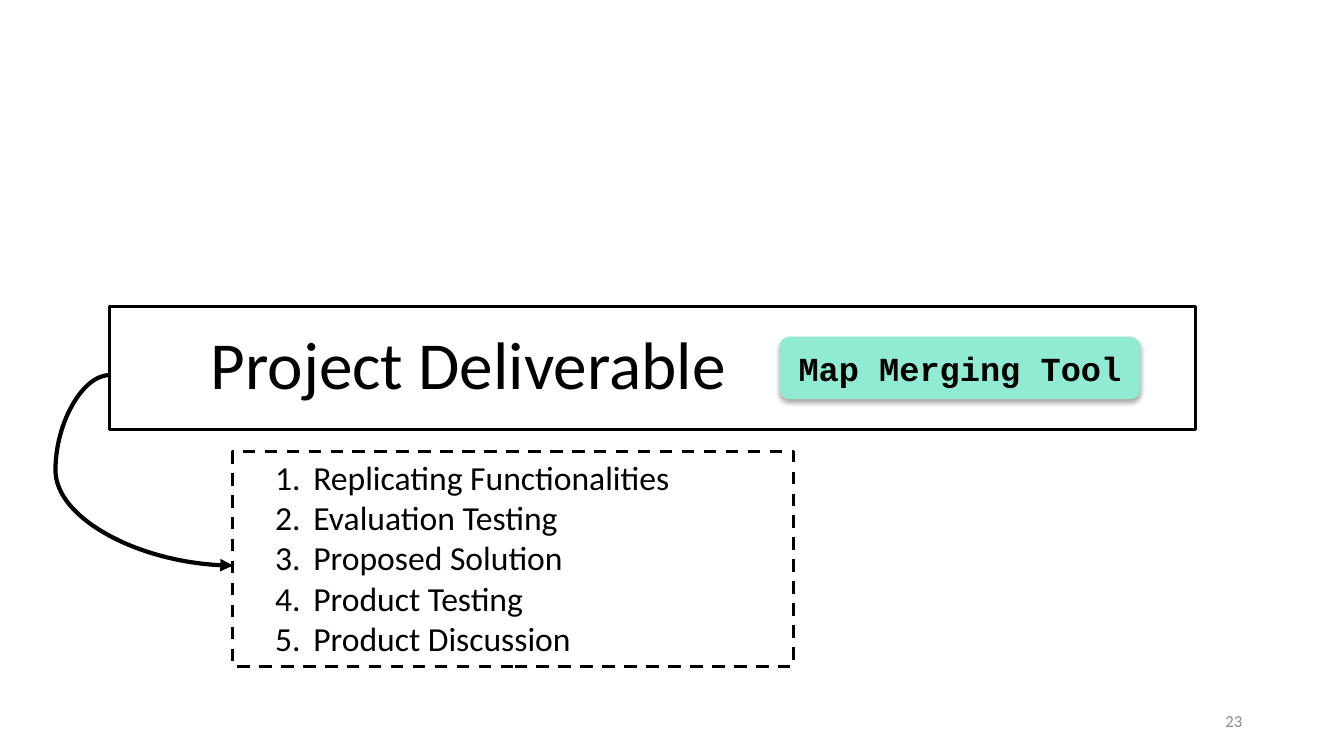
from lxml import etree
from pptx import Presentation
from pptx.dml.color import RGBColor
from pptx.enum import dml, shapes, text
from pptx.oxml import parse_xml
from pptx.oxml.ns import nsdecls, qn
from pptx.util import Inches, Pt

BLACK = RGBColor(0x00, 0x00, 0x00)
GREY = RGBColor(0x8C, 0x8C, 0x8C)
MINT = RGBColor(0x91, 0xEA, 0xD2)

STEPS = [
    "Replicating Functionalities",
    "Evaluation Testing",
    "Proposed Solution",
    "Product Testing",
    "Product Discussion",
]


def add_span(para, words, size, color=BLACK, font="Calibri", bold=False):
    span = para.add_run()
    span.text = words
    span.font.name = font
    span.font.size = Pt(size)
    span.font.bold = bold
    span.font.color.rgb = color


def add_box(page, kind, left, top, width, height):
    """Add an unfilled black-outlined shape without shadow."""
    box = page.shapes.add_shape(kind, Inches(left), Inches(top), Inches(width), Inches(height))
    box.shadow.inherit = False
    box.fill.background()
    box.line.color.rgb = BLACK
    box.line.width = Pt(2.25)
    return box


def add_title(page, left, top, width, height):
    title = add_box(page, shapes.MSO_SHAPE.RECTANGLE, left, top, width, height)
    title.text_frame.margin_left = Inches(1)
    title.text_frame.vertical_anchor = text.MSO_ANCHOR.MIDDLE
    para = title.text_frame.paragraphs[0]
    para.alignment = text.PP_ALIGN.LEFT
    para.line_spacing = 0.9
    add_span(para, "Project Deliverable", 48)


def add_tool_badge(page, left, top, width, height):
    badge = add_box(page, shapes.MSO_SHAPE.ROUNDED_RECTANGLE, left, top, width, height)
    badge.fill.solid()
    badge.fill.fore_color.rgb = MINT
    badge.line.fill.background()
    effects = badge._element.spPr.find(qn("a:effectLst"))
    effects.append(parse_xml(
        f'<a:outerShdw {nsdecls("a")} blurRad="{Pt(3.5)}" dist="{Pt(2.2)}" dir="5400000" '
        'rotWithShape="0"><a:srgbClr val="000000"><a:alpha val="32000"/></a:srgbClr>'
        '</a:outerShdw>'))
    badge.text_frame.vertical_anchor = text.MSO_ANCHOR.MIDDLE
    para = badge.text_frame.paragraphs[0]
    para.alignment = text.PP_ALIGN.CENTER
    add_span(para, "Map Merging Tool", 24, font="Courier New", bold=True)


def add_steps(page, left, top, width, height):
    """Add the numbered steps in their dashed frame."""
    frame = add_box(page, shapes.MSO_SHAPE.RECTANGLE, left, top, width, height)
    frame.line.dash_style = dml.MSO_LINE.DASH
    box = page.shapes.add_textbox(
        Inches(left + 0.32), Inches(top), Inches(width - 0.32), Inches(height))
    box.text_frame.word_wrap = True
    for index, step in enumerate(STEPS):
        para = box.text_frame.paragraphs[0] if index == 0 else box.text_frame.add_paragraph()
        properties = para._p.get_or_add_pPr()
        properties.set("marL", str(Inches(0.38)))
        properties.set("indent", str(-Inches(0.38)))
        etree.SubElement(properties, qn("a:buFont"), typeface="+mj-lt")
        etree.SubElement(properties, qn("a:buAutoNum"), type="arabicPeriod")
        add_span(para, step, 24)


def add_curved_arrow(page, left, top, right, bottom, bulge):
    """Curve from the first point to the second, bending out left by bulge."""
    arrow = page.shapes.add_connector(
        shapes.MSO_CONNECTOR.CURVE, Inches(left), Inches(top), Inches(right), Inches(bottom))
    arrow.line.color.rgb = BLACK
    arrow.line.width = Pt(3)
    properties = arrow._element.spPr
    guides = properties.find(qn("a:prstGeom")).get_or_add_avLst()
    bend = round(-bulge / (right - left) * 100000)
    etree.SubElement(guides, qn("a:gd"), name="adj1", fmla=f"val {bend}")
    etree.SubElement(arrow.line._get_or_add_ln(), qn("a:tailEnd"), type="triangle")
    etree.SubElement(properties, qn("a:effectLst"))


def add_page_number(page, left, top, width, height):
    box = page.shapes.add_textbox(Inches(left), Inches(top), Inches(width), Inches(height))
    box.text_frame.word_wrap = True
    box.text_frame.vertical_anchor = text.MSO_ANCHOR.MIDDLE
    para = box.text_frame.paragraphs[0]
    para.alignment = text.PP_ALIGN.RIGHT
    add_span(para, "23", 12, GREY)


def main():
    deck = Presentation()
    deck.slide_width, deck.slide_height = Inches(13.33), Inches(7.5)
    page = deck.slides.add_slide(deck.slide_layouts[6])
    add_title(page, 1.09, 3.04, 10.77, 1.22)
    add_page_number(page, 9.42, 6.95, 3, 0.4)
    add_tool_badge(page, 7.73, 3.34, 3.58, 0.62)
    add_steps(page, 2.31, 4.48, 5.56, 2.13)
    add_curved_arrow(page, 1.09, 3.72, 2.31, 5.61, 0.54)
    deck.save("out.pptx")


if __name__ == "__main__":
    main()
